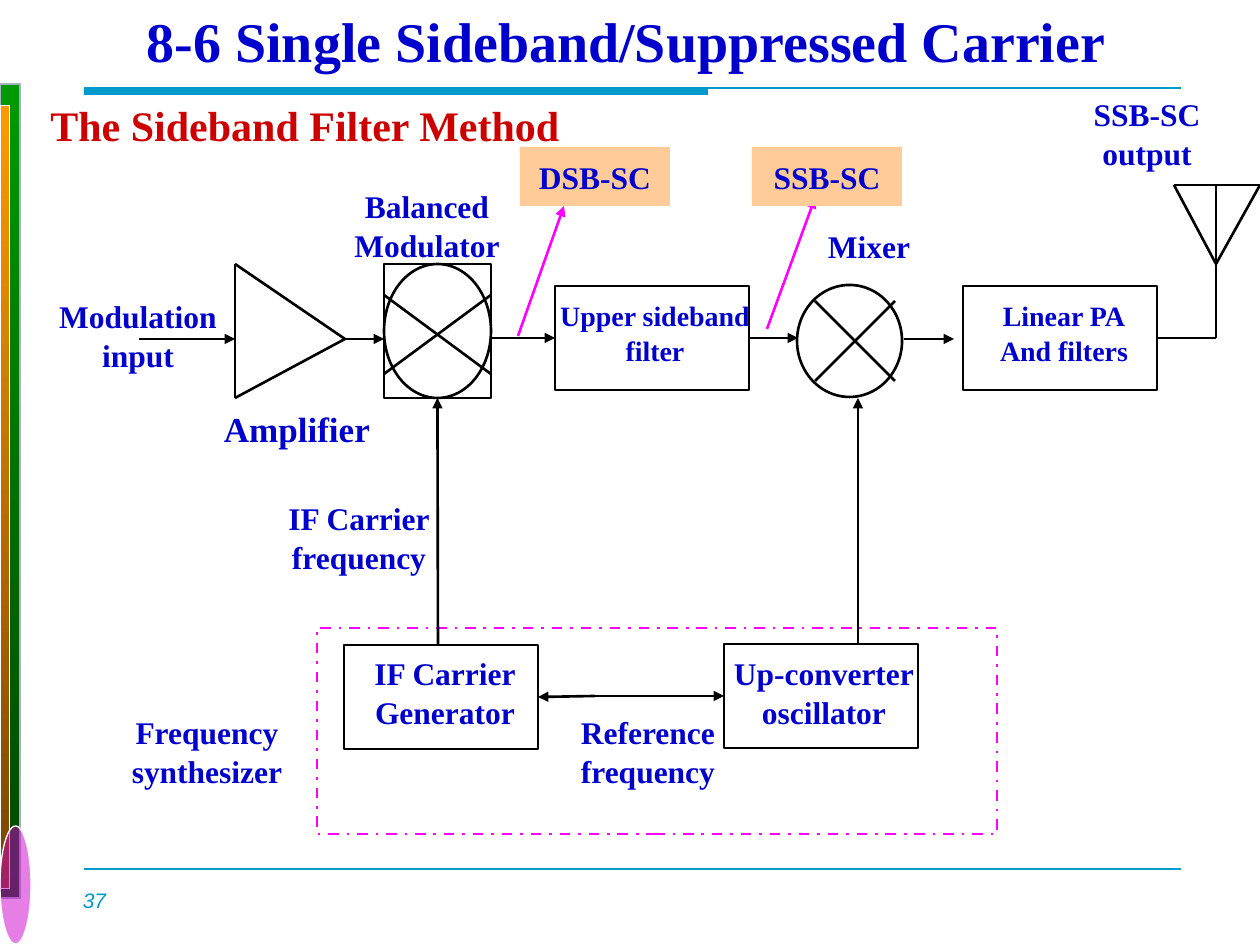
from lxml import etree
from pptx import Presentation
from pptx.dml.color import RGBColor
from pptx.enum.dml import MSO_LINE_DASH_STYLE as DASH
from pptx.enum.shapes import MSO_CONNECTOR, MSO_SHAPE as SHAPE
from pptx.enum.text import MSO_ANCHOR as ANCHOR, MSO_AUTO_SIZE as AUTO, PP_ALIGN as ALIGN
from pptx.oxml.ns import qn
from pptx.util import Pt

SCALE = 914400 / 126
SERIF = "Times New Roman"
TOP, LEFT, BOTTOM, RIGHT = range(4)
COLORS = {
    "text": "0000CC", "heading": "CC0000", "line": "000000", "signal": "FF00FF",
    "tag": "FFCC99", "rule": "0099CC", "white": "FFFFFF", "edge": "A3B2C1",
    "green": "009900", "dark_green": "004600", "orange": "FF9900",
    "brown": "754600", "purple": "CC00CC",
}


def px(n):
    return round(n * SCALE)


def rgb(name):
    return RGBColor.from_string(COLORS[name])


def write(sp, text, size, color="text", align=ALIGN.CENTER, anchor=ANCHOR.MIDDLE,
          font=SERIF, bold=True, italic=False, wrap=False):
    tf = sp.text_frame
    tf.auto_size = AUTO.NONE
    tf.word_wrap = wrap
    tf.vertical_anchor = anchor
    for i, line in enumerate(text.split("\n")):
        p = tf.add_paragraph() if i else tf.paragraphs[0]
        p.alignment = align
        if i:
            p.line_spacing = 1.04
        r = p.add_run()
        r.text = line
        r.font.name = font
        r.font.size = Pt(size)
        r.font.bold = bold
        r.font.italic = italic
        r.font.color.rgb = rgb(color)


def add_text(s, text, box, size, **style):
    sp = s.shapes.add_textbox(*map(px, box))
    write(sp, text, size, **style)


def add_box(s, box, kind=SHAPE.RECTANGLE, fill=None, line="line", width=1.5):
    sp = s.shapes.add_shape(kind, *map(px, box))
    sp.shadow.inherit = False
    if fill:
        sp.fill.solid()
        sp.fill.fore_color.rgb = rgb(fill)
    else:
        sp.fill.background()
    if line:
        sp.line.color.rgb = rgb(line)
        sp.line.width = Pt(width)
    else:
        sp.line.fill.background()
    return sp


def add_line(s, x1, y1, x2, y2, color="line", width=1.5, arrow=False,
             begin=None, end=None):
    """Draw a line; begin and end are (shape, side) pairs to join."""
    c = s.shapes.add_connector(MSO_CONNECTOR.STRAIGHT, *map(px, (x1, y1, x2, y2)))
    if begin:
        c.begin_connect(*begin)
    if end:
        c.end_connect(*end)
    c.line.color.rgb = rgb(color)
    c.line.width = Pt(width)
    if arrow:
        etree.SubElement(c.line._get_or_add_ln(), qn("a:tailEnd"), type="triangle")
    etree.SubElement(c._element.spPr, qn("a:effectLst"))


def add_path(s, *points):
    for start, stop in zip(points, points[1:]):
        add_line(s, *start, *stop)


def add_bar(s, box, colors, line, width):
    """Draw a side bar with a gradient from top to bottom."""
    sp = add_box(s, box, line=line, width=width)
    sp.fill.gradient()
    sp.fill.gradient_angle = 270
    for stop, color in zip(sp.fill.gradient_stops, colors):
        stop.color.rgb = rgb(color)


def add_tag(s, text, x):
    sp = add_box(s, (x, 147, 150, 59), fill="tag", line=None)
    write(sp, text, 18)


def add_cross(s, left, top, right, bottom):
    add_line(s, right, top, left, bottom)
    add_line(s, left, top, right, bottom)


def add_frame(s):
    add_box(s, (84, 88, 624, 7), fill="rule", line=None)
    for y in (88, 869):
        add_line(s, 84, y, 1181, y, "rule", 1)
    add_bar(s, (0, 84, 20, 814), ("green", "dark_green"), "edge", 0.75)
    add_bar(s, (0, 105, 10, 784), ("orange", "brown"), "white", 0.5)
    oval = add_box(s, (0, 826, 31, 118), SHAPE.OVAL, "purple", "white", 0.75)
    color = oval._element.spPr.find(qn("a:solidFill"))[0]
    etree.SubElement(color, qn("a:alpha"), val="50000")
    add_text(s, "37", (25, 881, 139, 38), 12, color="rule", font="Arial",
             bold=False, italic=True, anchor=ANCHOR.TOP, wrap=True)


def add_headings(s):
    title = s.shapes.title
    title.left, title.top, title.width, title.height = map(px, (134, 0, 987, 81))
    style = dict(align=ALIGN.LEFT, anchor=ANCHOR.TOP)
    write(title, "8-6 Single Sideband/Suppressed Carrier", 32, **style)
    add_text(s, "The Sideband Filter Method", (38, 93, 648, 63), 24,
             color="heading", wrap=True, **style)


def add_diagram(s):
    modulator = add_box(s, (384, 264, 107, 134))
    add_box(s, (384, 264, 107, 134), SHAPE.OVAL)
    add_cross(s, 384, 295, 491, 374)
    add_box(s, (797, 285, 105, 112), SHAPE.OVAL)
    add_cross(s, 815, 301, 895, 381)
    side_filter, power_amp, generator, oscillator = (
        add_box(s, (x, y, 194, 104))
        for x, y in ((555, 286), (963, 286), (344, 645), (724, 644)))
    synthesizer = add_box(s, (317, 628, 680, 206), line="signal")
    synthesizer.line.dash_style = DASH.DASH_DOT

    add_path(s, (235, 264), (345, 339), (235, 398), (235, 264))
    add_line(s, 139, 339, 235, 339, arrow=True)
    add_line(s, 345, 339, 384, 339, arrow=True)
    add_line(s, 491, 338, 555, 338, arrow=True, end=(side_filter, LEFT))
    add_line(s, 749, 338, 798, 338, arrow=True, begin=(side_filter, RIGHT))
    add_line(s, 904, 339, 954, 339, arrow=True)
    add_line(s, 438, 645, 438, 398, arrow=True, end=(modulator, BOTTOM))
    add_line(s, 858, 644, 858, 398, arrow=True)
    add_line(s, 595, 696, 538, 697, arrow=True, end=(generator, RIGHT))
    add_line(s, 595, 696, 724, 696, arrow=True, end=(oscillator, LEFT))

    add_line(s, 1158, 338, 1216, 338, begin=(power_amp, RIGHT))
    add_path(s, (1216, 338), (1216, 185))
    add_path(s, (1216, 264), (1174, 185), (1260, 185), (1216, 264))

    add_line(s, 518, 336, 564, 206, "signal", arrow=True)
    add_tag(s, "DSB-SC", 520)
    add_line(s, 767, 329, 815, 198, "signal", arrow=True)
    add_tag(s, "SSB-SC", 752)


def add_labels(s):
    labels = [
        ("Amplifier", 210, 401, 20),
        ("Modulation\ninput", 28, 296, 18),
        ("Balanced\nModulator", 317, 186, 18),
        ("IF Carrier\nfrequency", 249, 498, 18),
        ("IF Carrier\nGenerator", 335, 653, 18),
        ("Reference\nfrequency", 538, 712, 18),
        ("Up-converter\noscillator", 714, 653, 18),
        ("Upper sideband\nfilter", 545, 293, 16),
        ("Linear PA\nAnd filters", 954, 293, 16),
        ("SSB-SC\noutput", 1037, 94, 18),
        ("Frequency\nsynthesizer", 97, 712, 18),
        ("Mixer", 759, 206, 18),
    ]
    for text, x, y, size in labels:
        height = 79 if "\n" in text or size == 18 else 54
        width = 174 if size == 20 else 220
        add_text(s, text, (x, y, width, height), size)


def main():
    prs = Presentation()
    prs.slide_width, prs.slide_height = px(1260), px(945)
    s = prs.slides.add_slide(prs.slide_layouts[5])
    add_frame(s)
    add_headings(s)
    add_diagram(s)
    add_labels(s)
    prs.save("out.pptx")


if __name__ == "__main__":
    main()
